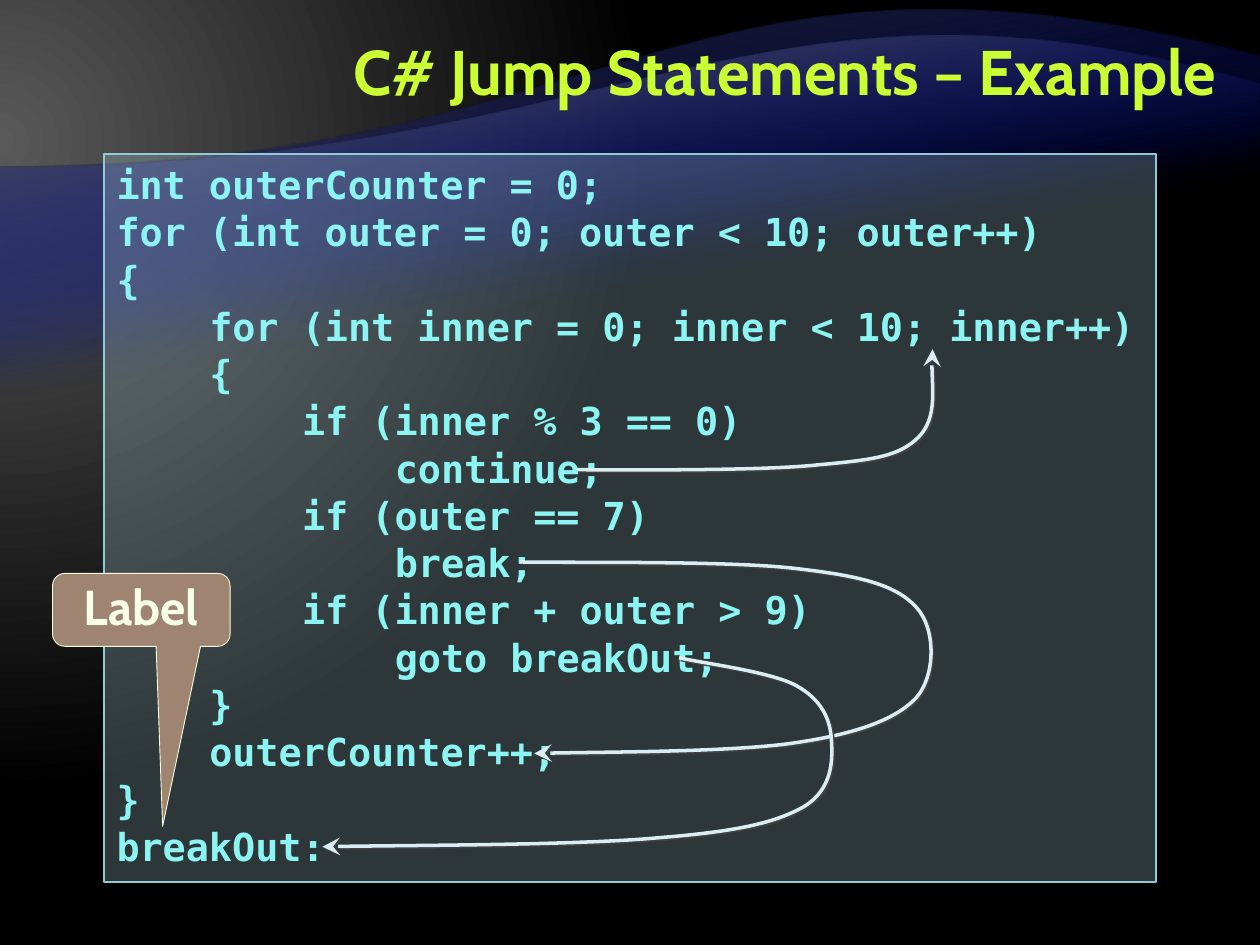
"""Build a slide that traces C# jump statements through nested loops."""
from dataclasses import dataclass

from lxml import etree
from pptx import Presentation
from pptx import util as u
from pptx.dml.color import RGBColor
from pptx.enum import shapes, text
from pptx.oxml.ns import qn

LIME = RGBColor(0xCC, 0xFF, 0x33)
AQUA = RGBColor(0x8C, 0xF4, 0xF2)
PANEL = RGBColor(0xB5, 0xDB, 0xE5)
PANEL_EDGE = RGBColor(0x90, 0xCA, 0xD7)
ARROW = RGBColor(0xDA, 0xED, 0xF2)
ARROW_SHADOW = RGBColor(0x40, 0x40, 0x40)
BROWN = RGBColor(0x9F, 0x84, 0x71)
CREAM_EDGE = RGBColor(0xF5, 0xFF, 0xE0)
CREAM = RGBColor(0xF7, 0xFF, 0xE7)
BLUE = RGBColor(0x00, 0x0D, 0x9E)
GREY = RGBColor(0x59, 0x59, 0x59)
DARK_GREY = RGBColor(0x26, 0x26, 0x26)
BLACK = RGBColor(0x00, 0x00, 0x00)

HEADING_FONT = "Cabin"
CODE_FONT = "DejaVu Sans Mono"
INDENT = 1.87
WIDTH, HEIGHT = 25.4, 19.05

Point = tuple[float, float]
Box = tuple[float, float, float, float]


@dataclass(frozen=True)
class Curve:
    box: Box
    start: Point
    bends: tuple[tuple[Point, Point, Point], ...]


@dataclass(frozen=True)
class Wave:
    curve: Curve
    crest: RGBColor


@dataclass(frozen=True)
class TextStyle:
    font: str
    size: float
    color: RGBColor
    spacing: float
    align: text.PP_ALIGN


@dataclass(frozen=True)
class Line:
    words: str
    depth: int = 0


TITLE_STYLE = TextStyle(HEADING_FONT, 36, LIME, 40, text.PP_ALIGN.RIGHT)
CODE_STYLE = TextStyle(CODE_FONT, 22, AQUA, 27, text.PP_ALIGN.LEFT)
LABEL_STYLE = TextStyle(HEADING_FONT, 28, CREAM, 30, text.PP_ALIGN.CENTER)

WAVES = (
    Wave(Curve((0, 1.14, WIDTH, 15.45), (0, 3.38),
               (((12.7, 3.38), (13.56, -1.9), (WIDTH, 1.14)),)), DARK_GREY),
    Wave(Curve((0, 1.7, WIDTH, 12.45), (0, 3.38),
               (((12.7, 3.38), (15.19, -1.24), (WIDTH, 1.7)),)), GREY),
)

CODE = (
    Line("int outerCounter = 0;"),
    Line("for (int outer = 0; outer < 10; outer++)"),
    Line("{"),
    Line("for (int inner = 0; inner < 10; inner++)", 1),
    Line("{", 1),
    Line("if (inner % 3 == 0)", 2),
    Line("continue;", 3),
    Line("if (outer == 7)", 2),
    Line("break;", 3),
    Line("if (inner + outer > 9)", 2),
    Line("goto breakOut;", 3),
    Line("}", 1),
    Line("outerCounter++;", 1),
    Line("}"),
    Line("breakOut:"),
)

JUMPS = (
    Curve((11.63, 7.04, 7.29, 2.46), (11.63, 9.47), (
        ((12.45, 9.47), (15.34, 9.5), (16.51, 9.37)),
        ((17.65, 9.27), (18.14, 9.19), (18.52, 8.81)),
        ((18.9, 8.43), (18.75, 7.42), (18.8, 7.04)))),
    Curve((10.49, 11.3, 8.38, 3.91), (10.49, 11.33), (
        ((11.43, 11.35), (14.71, 11.3), (16.03, 11.46)),
        ((17.35, 11.61), (18.06, 11.79), (18.47, 12.24)),
        ((18.87, 12.67), (18.87, 13.61), (18.47, 14.07)),
        ((18.03, 14.53), (17.2, 14.81), (15.93, 14.99)),
        ((14.66, 15.16), (11.84, 15.16), (10.77, 15.19)))),
    Curve((6.5, 13.26, 10.31, 3.81), (13.69, 13.26), (
        ((14.1, 13.36), (15.54, 13.54), (16.05, 13.82)),
        ((16.56, 14.1), (16.74, 14.5), (16.76, 14.91)),
        ((16.79, 15.32), (16.79, 15.9), (16.21, 16.26)),
        ((15.62, 16.59), (14.88, 16.76), (13.26, 16.89)),
        ((11.63, 17.04), (7.9, 17.04), (6.5, 17.07)))),
)


def add_node(parent, tag: str, **attributes):
    return etree.SubElement(parent, qn(tag), attributes)


def set_alpha(owner, percent: int) -> None:
    color = next(owner.iter(qn("a:srgbClr")))
    add_node(color, "a:alpha", val=str(percent * 1000))


def set_gradient(fill, *stops: tuple[float, RGBColor]) -> None:
    fill.gradient()
    for stop, (position, color) in zip(fill.gradient_stops, stops):
        stop.position = position
        stop.color.rgb = color


def paint_background(slide) -> None:
    set_gradient(slide.background.fill, (0, GREY), (0.83, BLACK))
    gradient = next(slide.element.iter(qn("a:gradFill")))
    gradient.remove(gradient.find(qn("a:lin")))
    glow = add_node(gradient, "a:path", path="circle")
    add_node(glow, "a:fillToRect", l="20000", t="30000", r="135000", b="100000")


def draw_curve(slide, curve: Curve, corners: tuple[Point, ...] = ()):
    left, top, width, height = curve.box
    frame = [(left + width, top), (left + width, top + height), (left, top + height)]
    builder = slide.shapes.build_freeform(u.Cm(left), u.Cm(top))
    builder.add_line_segments([(u.Cm(x), u.Cm(y)) for x, y in frame])
    shape = builder.convert_to_shape()
    outline = next(shape.element.iter(qn("a:path")))
    for step in list(outline):
        outline.remove(step)
    steps = [("a:moveTo", (curve.start,))]
    steps += [("a:cubicBezTo", bend) for bend in curve.bends]
    steps += [("a:lnTo", (corner,)) for corner in corners]
    for tag, points in steps:
        step = add_node(outline, tag)
        for x, y in points:
            add_node(step, "a:pt", x=str(u.Cm(x - left)), y=str(u.Cm(y - top)))
    if corners:
        add_node(outline, "a:close")
    shape.shadow.inherit = False
    return shape


def draw_wave(slide, wave: Wave) -> None:
    left, top, width, height = wave.curve.box
    bottom = top + height
    shape = draw_curve(slide, wave.curve, ((left + width, bottom), (left, bottom)))
    set_gradient(shape.fill, (0.65, BLUE), (1, wave.crest))
    shape.fill.gradient_angle = 100
    set_alpha(shape.element, 0)
    shape.line.fill.background()


def draw_jump(slide, jump: Curve) -> None:
    arrow = draw_curve(slide, jump)
    arrow.fill.background()
    arrow.line.color.rgb = ARROW
    arrow.line.width = u.Pt(2)
    add_node(next(arrow.element.iter(qn("a:ln"))), "a:tailEnd",
             type="stealth", w="lg", len="lg")
    shadow = add_node(next(arrow.element.iter(qn("a:effectLst"))), "a:outerShdw",
                      blurRad="0", dist=str(u.Pt(1.4)), dir="2700000")
    add_node(shadow, "a:srgbClr", val=str(ARROW_SHADOW))


def write(frame, lines: tuple[Line, ...], style: TextStyle, anchor: text.MSO_ANCHOR) -> None:
    frame.word_wrap = True
    frame.vertical_anchor = anchor
    for number, line in enumerate(lines):
        paragraph = frame.add_paragraph() if number else frame.paragraphs[0]
        paragraph.alignment = style.align
        paragraph.line_spacing = u.Pt(style.spacing)
        if line.depth:
            paragraph._p.get_or_add_pPr().set("marL", str(u.Cm(line.depth * INDENT)))
        run = paragraph.add_run()
        run.text = line.words
        run.font.name = style.font
        run.font.size = u.Pt(style.size)
        run.font.bold = True
        run.font.color.rgb = style.color


def draw_panel(slide, kind, box: Box, fill: RGBColor, edge: RGBColor, weight: float):
    panel = slide.shapes.add_shape(kind, *map(u.Cm, box))
    panel.shadow.inherit = False
    panel.fill.solid()
    panel.fill.fore_color.rgb = fill
    panel.line.color.rgb = edge
    panel.line.width = u.Pt(weight)
    return panel


def main() -> None:
    deck = Presentation()
    deck.slide_width, deck.slide_height = u.Cm(WIDTH), u.Cm(HEIGHT)
    slide = deck.slides.add_slide(deck.slide_layouts[6])
    paint_background(slide)
    for wave in WAVES:
        draw_wave(slide, wave)
    title = slide.shapes.add_textbox(*map(u.Cm, (5.08, 0.2, 19.69, 2.54)))
    write(title.text_frame, (Line("C# Jump Statements – Example"),), TITLE_STYLE,
          text.MSO_ANCHOR.MIDDLE)
    code = draw_panel(slide, shapes.MSO_SHAPE.RECTANGLE, (2.1, 3.1, 21.2, 14.68),
                      PANEL, PANEL_EDGE, 1)
    set_alpha(code.element, 25)
    write(code.text_frame, CODE, CODE_STYLE, text.MSO_ANCHOR.TOP)
    for jump in JUMPS:
        draw_jump(slide, jump)
    label = draw_panel(slide, shapes.MSO_SHAPE.ROUNDED_RECTANGULAR_CALLOUT,
                       (1.06, 11.56, 3.58, 1.47), BROWN, CREAM_EDGE, 0.5)
    for index, value in enumerate((0.12, 2.97, 0.17)):
        label.adjustments[index] = value
    write(label.text_frame, (Line("Label"),), LABEL_STYLE, text.MSO_ANCHOR.TOP)
    deck.save("out.pptx")


if __name__ == "__main__":
    main()
